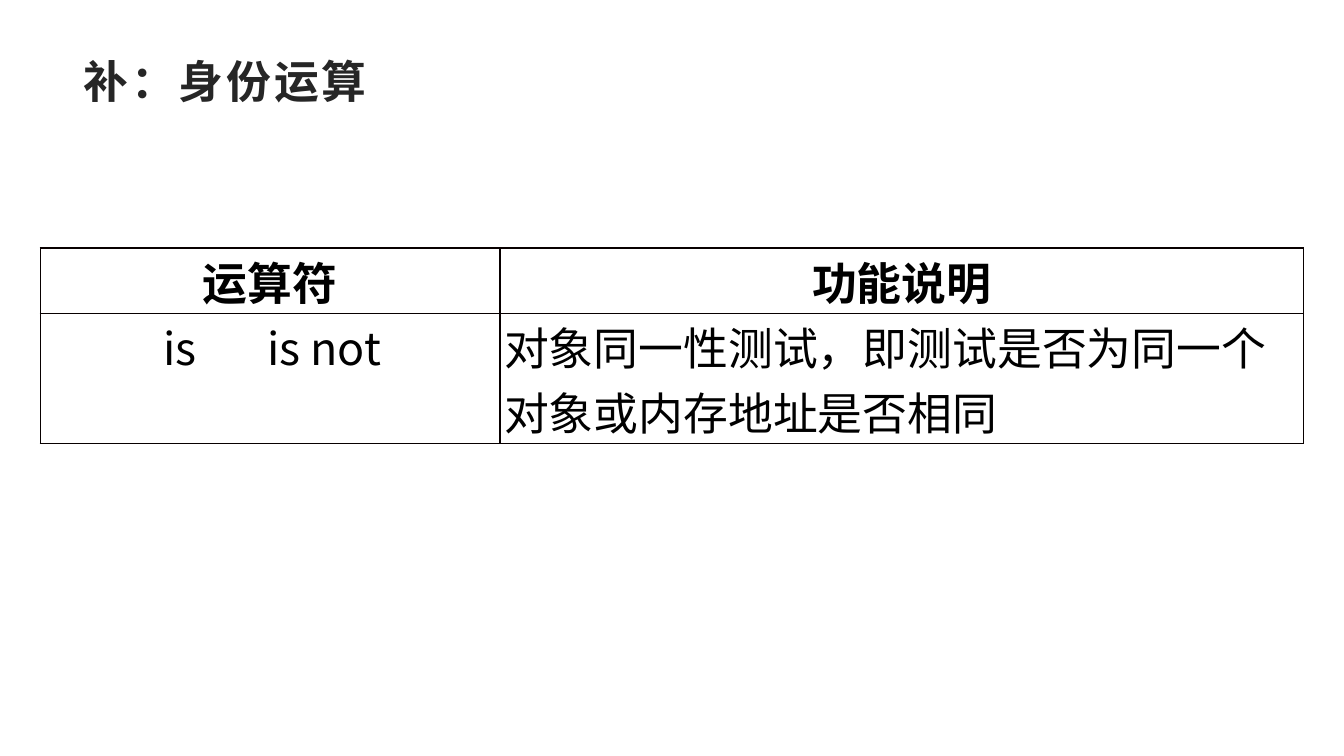
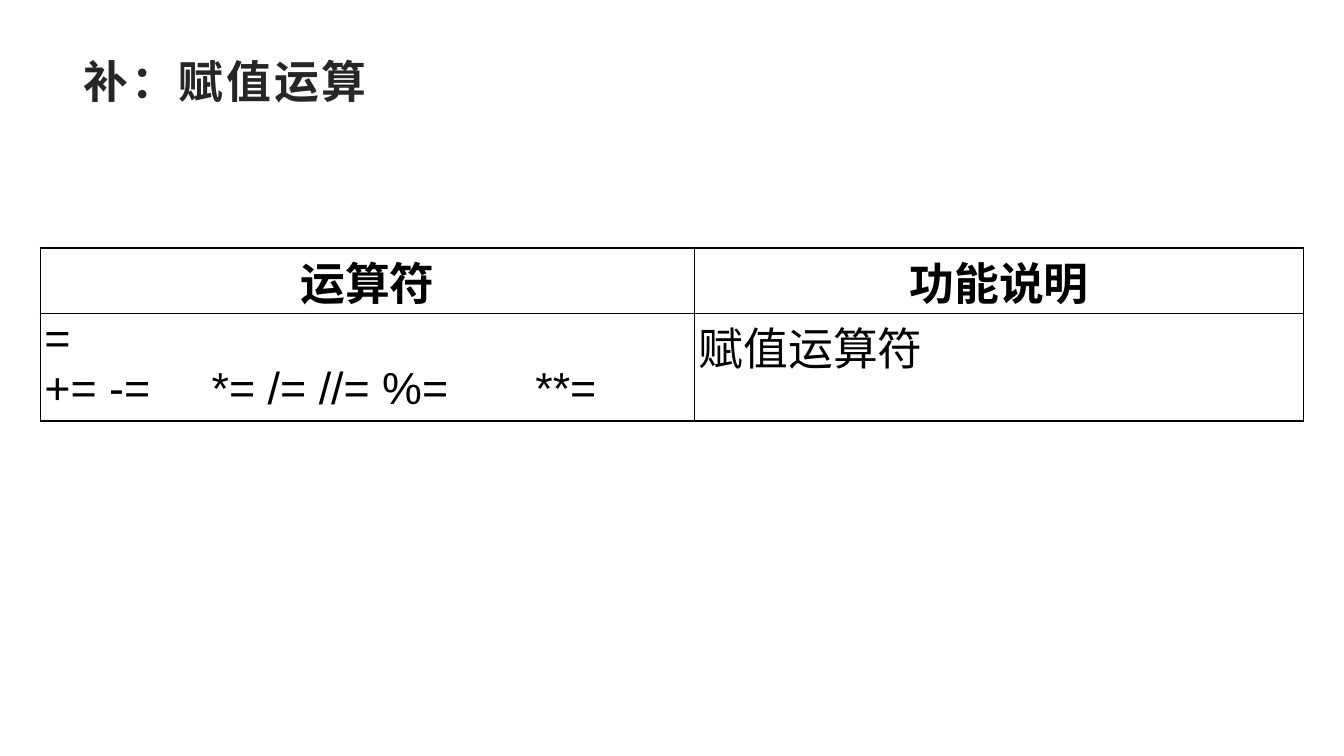
from lxml.etree import SubElement
from pptx import Presentation
from pptx.dml.color import RGBColor
from pptx.enum.text import MSO_ANCHOR, PP_ALIGN
from pptx.oxml.ns import qn
from pptx.util import Inches, Pt

CJK, LATIN = "Noto Sans CJK SC", "Arial"
TITLE_COLOR, TEXT_COLOR, BORDER_COLOR = "262626", "000000", "080000"
TEXT_SIZE = 32
SLIDE_W, SLIDE_H = 13.33, 7.5
TABLE_LEFT, TABLE_TOP, TABLE_W = 0.4, 2.46, 12.53
HEADER_H = 0.65
HEADERS = ("运算符", "功能说明")
CELL_INSET = 0.04


def rgb(color):
    """Turn a hex string into a colour."""
    return RGBColor.from_string(color)


def format_run(r, color=TEXT_COLOR, font=CJK, bold=False, spacing=0):
    """Set the type of one run, with letter spacing in points."""
    r.font.size, r.font.bold, r.font.name = Pt(TEXT_SIZE), bold, font
    r.font.color.rgb = rgb(color)
    SubElement(r.font._element, qn("a:ea"), typeface=CJK)
    if spacing:
        r.font._element.set("spc", str(spacing * 100))


def add_tabs(p, stops):
    """Give a paragraph left tab stops, in inches."""
    tabs = SubElement(p._p.get_or_add_pPr(), qn("a:tabLst"))
    for stop in stops:
        SubElement(tabs, qn("a:tab"), pos=str(Inches(stop)), algn="l")


def add_borders(cell, width=1):
    """Draw a thin line on all four sides of a cell."""
    tcPr = cell._tc.get_or_add_tcPr()
    for side in "LRTB":
        ln = SubElement(tcPr, qn(f"a:ln{side}"), w=str(Pt(width)))
        fill = SubElement(ln, qn("a:solidFill"))
        SubElement(fill, qn("a:srgbClr"), val=BORDER_COLOR)


def fill_cell(cell, text, font=CJK, header=False, inset=CELL_INSET, stops=()):
    """Write and format one table cell."""
    add_borders(cell)
    cell.fill.background()
    cell.margin_left = Inches(0 if header else inset)
    cell.margin_right = cell.margin_top = cell.margin_bottom = 0
    cell.text_frame.text = text
    for p in cell.text_frame.paragraphs:
        p.alignment = PP_ALIGN.CENTER if header else PP_ALIGN.LEFT
        if stops:
            add_tabs(p, stops)
        for r in p.runs:
            format_run(r, font=font, bold=header)


def add_title(slide, text):
    """Add the slide title."""
    sp = slide.shapes.add_textbox(Inches(0.73), Inches(0.48), Inches(11.87), Inches(0.78))
    tf = sp.text_frame
    tf.word_wrap, tf.vertical_anchor = True, MSO_ANCHOR.TOP
    tf.text = text
    format_run(tf.paragraphs[0].runs[0], TITLE_COLOR, LATIN, bold=True, spacing=2)


def add_operator_table(slide, first_width, body_height, operators, meaning, **style):
    """Add a table of operators beside their meaning."""
    frame = slide.shapes.add_table(2, 2, Inches(TABLE_LEFT), Inches(TABLE_TOP),
                                   Inches(TABLE_W), Inches(HEADER_H + body_height))
    table = frame.table
    for column, width in zip(table.columns, (first_width, TABLE_W - first_width)):
        column.width = Inches(width)
    for row, height in zip(table.rows, (HEADER_H, body_height)):
        row.height = Inches(height)
    for col, text in enumerate(HEADERS):
        fill_cell(table.cell(0, col), text, header=True)
    fill_cell(table.cell(1, 0), operators, **style)
    fill_cell(table.cell(1, 1), meaning)


def add_operator_slide(prs, title, *content, **style):
    """Add a slide with a title and an operator table."""
    slide = prs.slides.add_slide(prs.slide_layouts[6])
    add_title(slide, title)
    add_operator_table(slide, *content, **style)


def main():
    """Build and save the presentation."""
    prs = Presentation()
    prs.slide_width, prs.slide_height = Inches(SLIDE_W), Inches(SLIDE_H)
    add_operator_slide(prs, "补：身份运算", 4.56, 1.29, "is\tis not",
                       "对象同一性测试，即测试是否为同一个对象或内存地址是否相同",
                       inset=1.22, stops=(1.03,))
    add_operator_slide(prs, "补：赋值运算", 6.49, 1.0, "=\n+= -=\t*= /= //= %=\t**=",
                       "赋值运算符", font=LATIN, stops=(1.66, 4.87))
    prs.save("out.pptx")


if __name__ == "__main__":
    main()
